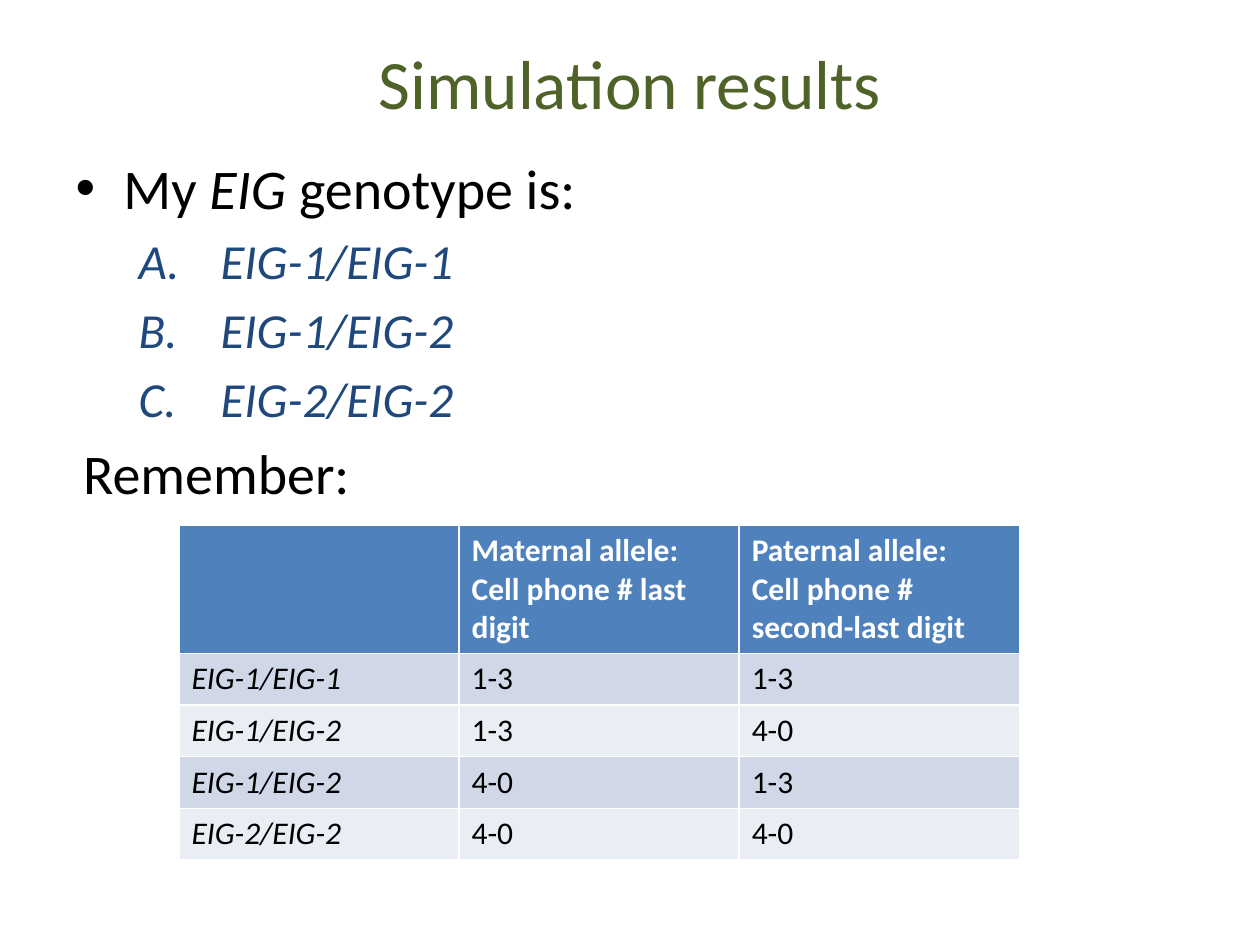
"""Build the slide of simulation results with genotype choices and a digit table."""
from dataclasses import dataclass

from lxml.etree import SubElement
from pptx import Presentation
from pptx.dml.color import RGBColor
from pptx.enum.text import MSO_ANCHOR, PP_ALIGN
from pptx.oxml.ns import qn
from pptx.util import Inches, Pt

TITLE = "Simulation results"
QUESTION = [("My ", False), ("EIG", True), (" genotype is:", False)]
CHOICES = ["EIG-1/EIG-1", "EIG-1/EIG-2", "EIG-2/EIG-2"]
REMINDER = "Remember:"
ALLELES = [
    ("", "Maternal allele:\nCell phone # last digit",
     "Paternal allele:\nCell phone # second-last digit"),
    ("EIG-1/EIG-1", "1-3", "1-3"),
    ("EIG-1/EIG-2", "1-3", "4-0"),
    ("EIG-1/EIG-2", "4-0", "1-3"),
    ("EIG-2/EIG-2", "4-0", "4-0"),
]

WIDTH, HEIGHT = 10, 7.5
MARGIN = WIDTH / 20
TABLE_LEFT, TABLE_TOP, TABLE_WIDTH = 1.42, 4.17, 6.67
HEADER_HEIGHT, ROW_HEIGHT = 1, 0.41


@dataclass(frozen=True)
class Theme:
    """Colours and type sizes of the slide."""
    font: str = "Calibri"
    title: str = "4F6228"
    text: str = "000000"
    choice: str = "1F497D"
    header_text: str = "FFFFFF"
    header_fill: str = "4F81BD"
    bands: tuple = ("D0D8E8", "E9EDF4")
    title_size: float = 39.6
    body_size: float = 32
    choice_size: float = 28
    table_size: float = 18


THEME = Theme()


def style(paragraph, size, color, bold=None, italic=None):
    font = paragraph.font
    font.name, font.size = THEME.font, Pt(size)
    font.color.rgb = RGBColor.from_string(color)
    font.bold, font.italic = bold, italic


def place(shape, left, top, width, height):
    shape.left, shape.top = Inches(left), Inches(top)
    shape.width, shape.height = Inches(width), Inches(height)


def set_bullet(paragraph, margin, indent, tag, **attributes):
    properties = paragraph._p.get_or_add_pPr()
    properties.set("marL", str(Inches(margin)))
    properties.set("indent", str(Inches(indent)))
    SubElement(properties, qn(tag), attributes)


def fill_body(frame):
    question = frame.paragraphs[0]
    question.space_before = Pt(0)
    set_bullet(question, 0.38, -0.38, "a:buChar", char="•")
    style(question, THEME.body_size, THEME.text)
    for words, italic in QUESTION:
        run = question.add_run()
        run.text, run.font.italic = words, italic

    for genotype in CHOICES:
        choice = frame.add_paragraph()
        choice.text, choice.level = genotype, 1
        set_bullet(choice, 1.15, -0.65, "a:buAutoNum", type="alphaUcPeriod")
        style(choice, THEME.choice_size, THEME.choice, italic=True)

    reminder = frame.add_paragraph()
    reminder.text = REMINDER
    set_bullet(reminder, 0.06, 0, "a:buNone")
    style(reminder, THEME.body_size, THEME.text)


def add_alleles(slide):
    heights = [HEADER_HEIGHT] + [ROW_HEIGHT] * (len(ALLELES) - 1)
    table = slide.shapes.add_table(
        len(ALLELES), len(ALLELES[0]), Inches(TABLE_LEFT), Inches(TABLE_TOP),
        Inches(TABLE_WIDTH), Inches(sum(heights))).table
    for r, (entries, height) in enumerate(zip(ALLELES, heights)):
        table.rows[r].height = Inches(height)
        header = r == 0
        fill = THEME.header_fill if header else THEME.bands[(r - 1) % 2]
        color = THEME.header_text if header else THEME.text
        for c, entry in enumerate(entries):
            cell = table.cell(r, c)
            cell.text = entry
            cell.fill.solid()
            cell.fill.fore_color.rgb = RGBColor.from_string(fill)
            for paragraph in cell.text_frame.paragraphs:
                style(paragraph, THEME.table_size, color, bold=header,
                      italic=c == 0 and not header)


def main():
    deck = Presentation()
    deck.slide_width, deck.slide_height = Inches(WIDTH), Inches(HEIGHT)
    slide = deck.slides.add_slide(deck.slide_layouts[1])
    title, body = slide.placeholders

    place(title, MARGIN, 0.3, WIDTH - 2 * MARGIN, 0.7)
    title.text_frame.text = TITLE
    title.text_frame.vertical_anchor = MSO_ANCHOR.MIDDLE
    heading = title.text_frame.paragraphs[0]
    heading.alignment = PP_ALIGN.CENTER
    style(heading, THEME.title_size, THEME.title)

    place(body, MARGIN, 1.17, WIDTH - 2 * MARGIN, 5.53)
    fill_body(body.text_frame)
    add_alleles(slide)
    deck.save("out.pptx")


if __name__ == "__main__":
    main()
